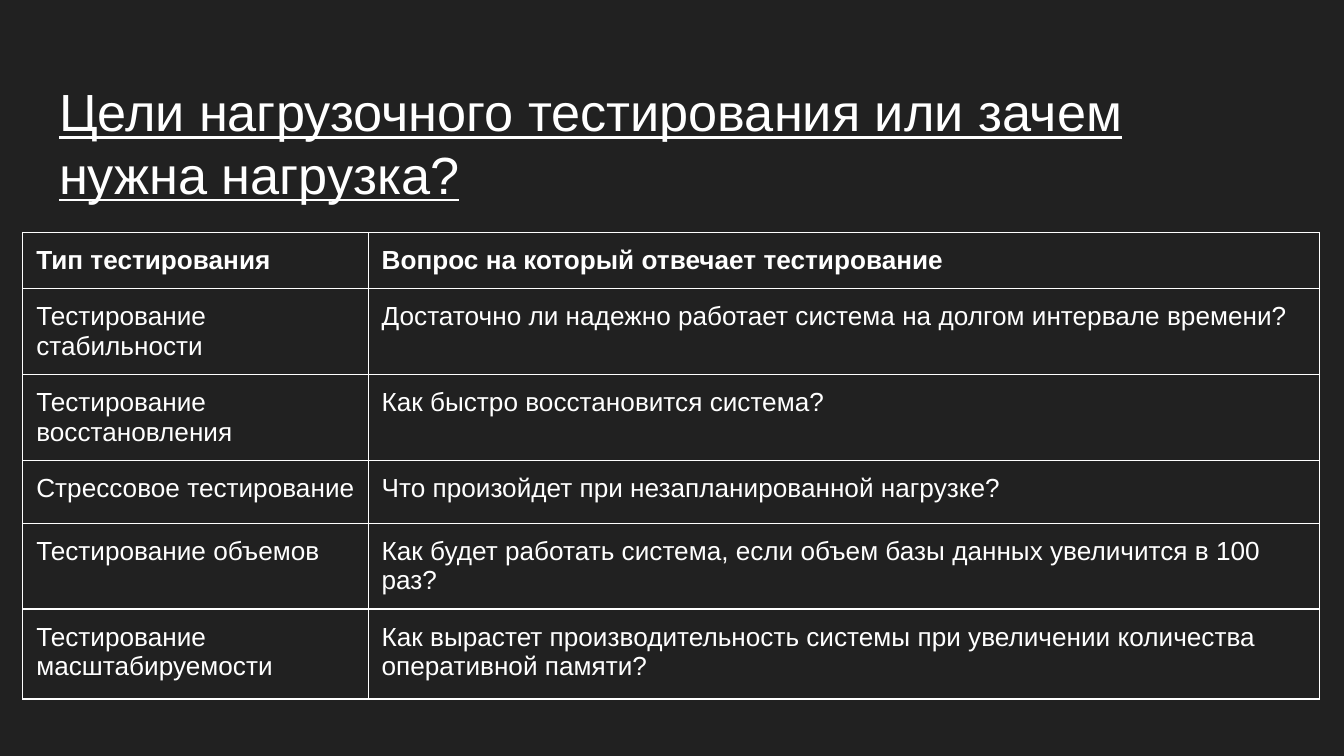
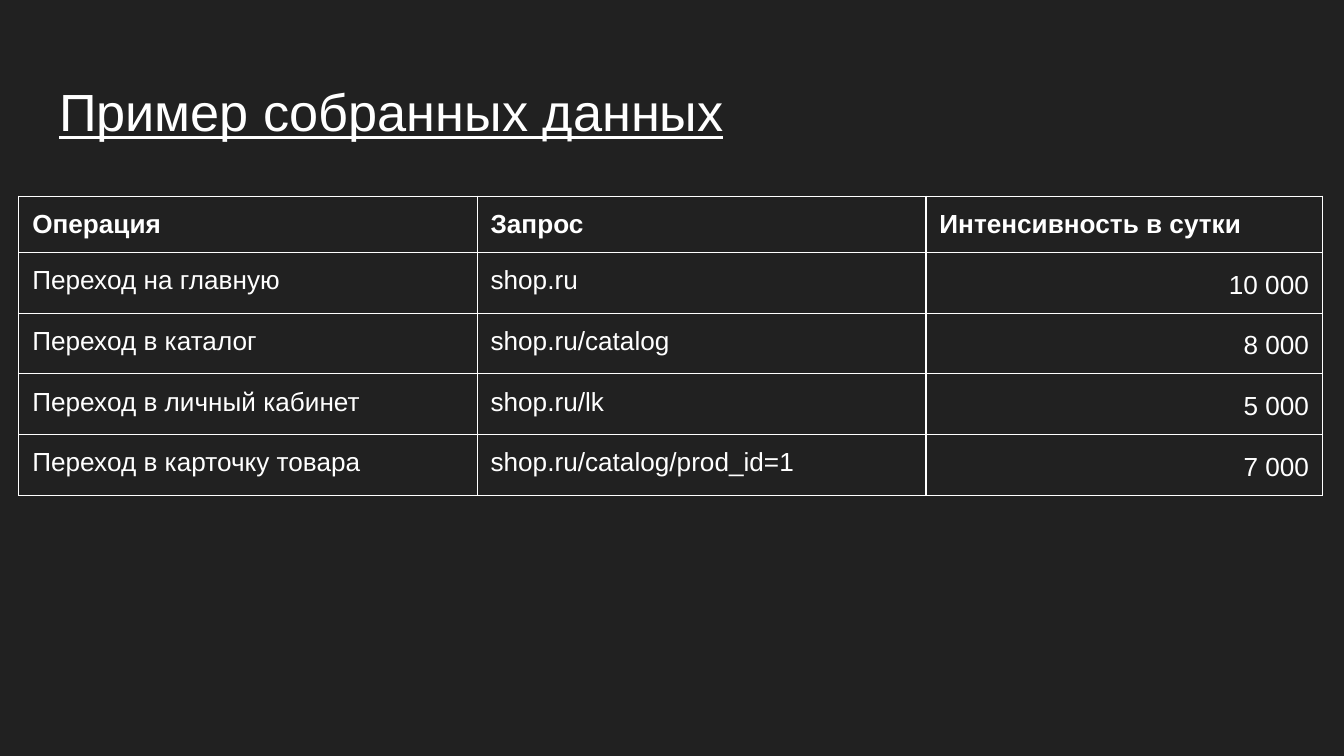
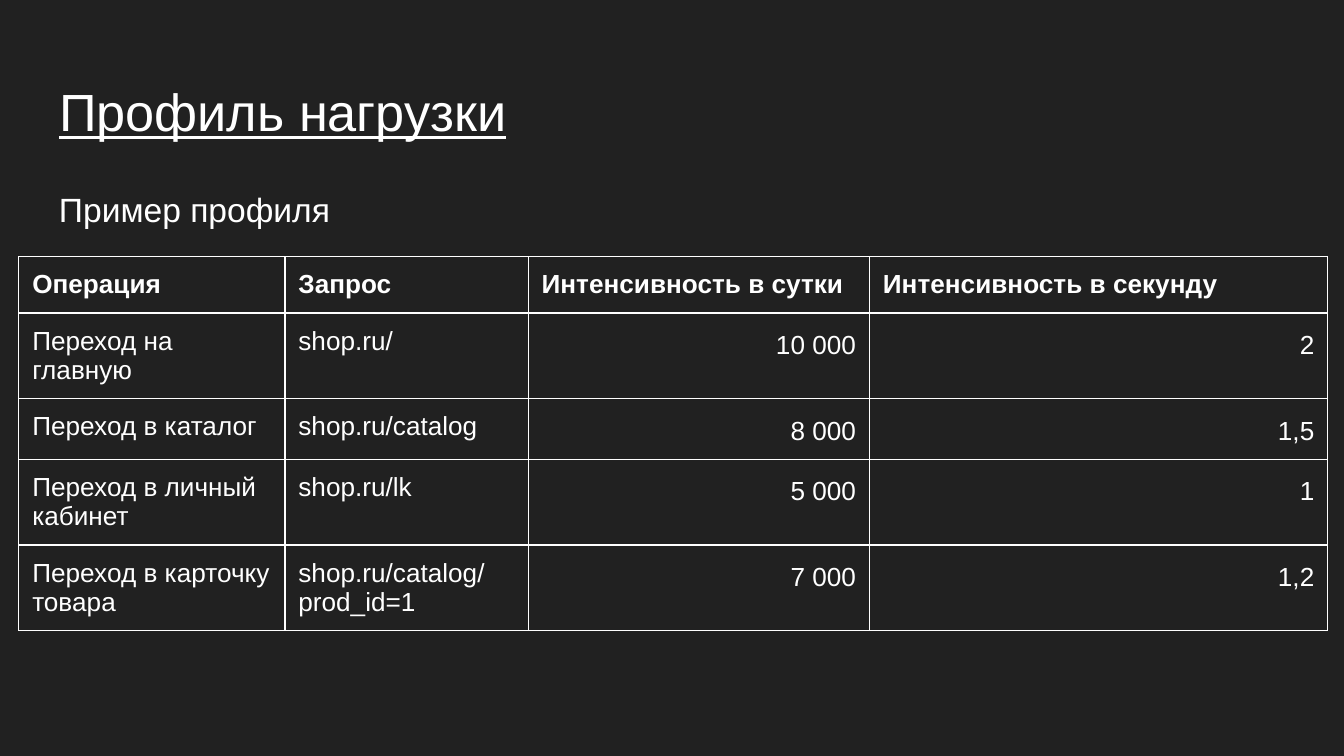
from lxml import etree
from pptx import Presentation
from pptx.dml.color import RGBColor
from pptx.enum.text import MSO_ANCHOR, MSO_AUTO_SIZE, PP_ALIGN
from pptx.oxml.ns import qn
from pptx.util import Inches, Pt

LEFT, RIGHT = PP_ALIGN.LEFT, PP_ALIGN.RIGHT
TOP = MSO_ANCHOR.TOP
NO_AUTOFIT = MSO_AUTO_SIZE.NONE
TITLE_ONLY = 5

PAGE_WIDTH = Inches(10)
PAGE_HEIGHT = PAGE_WIDTH * 9 // 16
FONT = "Arial"
DARK = "212121"
WHITE = "FFFFFF"
INSET = 0.1
BORDER_WIDTH = 0.75
LOOSE = 1.15

TITLE_BOX = (0.34, 0.49, 9.31, 0.63)
SUBTITLE_BOX = (0.34, 1.26, 9.31, 0.54)
TITLE_STYLE = {"size": Pt(28), "underline": True, "bold": False}
SUBTITLE_STYLE = {"size": Pt(18)}
HEADER_STYLE = {"size": Pt(14), "bold": True}
CELL_STYLE = {"size": Pt(14), "bold": False}
FRAME_STYLE = {"word_wrap": True, "auto_size": NO_AUTOFIT, "vertical_anchor": TOP}
MARGINS = {f"margin_{side}": Inches(INSET) for side in ("left", "right", "top", "bottom")}
TEXT_PARA = {"alignment": LEFT}
LOOSE_PARA = {"alignment": LEFT, "line_spacing": LOOSE}
NUMBER_PARA = {"alignment": RIGHT, "line_spacing": LOOSE}

GOALS = [
    ("Тип тестирования", "Вопрос на который отвечает тестирование"),
    ("Тестирование стабильности",
     "Достаточно ли надежно работает система на долгом интервале времени?"),
    ("Тестирование восстановления", "Как быстро восстановится система?"),
    ("Стрессовое тестирование", "Что произойдет при незапланированной нагрузке?"),
    ("Тестирование объемов",
     "Как будет работать система, если объем базы данных увеличится в 100 раз?"),
    ("Тестирование масштабируемости",
     "Как вырастет производительность системы при увеличении количества оперативной памяти?"),
]
COLLECTED = [
    ("Операция", "Запрос", "Интенсивность в сутки"),
    ("Переход на главную", "shop.ru", "10 000"),
    ("Переход в каталог", "shop.ru/catalog", "8 000"),
    ("Переход в личный кабинет", "shop.ru/lk", "5 000"),
    ("Переход в карточку товара", "shop.ru/catalog/prod_id=1", "7 000"),
]
HOME_REQUEST = "shop.ru/"
PER_SECOND = ("Интенсивность в секунду", "2", "1,5", "1", "1,2")


def color(value):
    return RGBColor.from_string(value)


def set_values(target, values):
    for name, value in values.items():
        setattr(target, name, value)


def write(frame, text, style, para_style):
    para = frame.paragraphs[0]
    set_values(para, para_style)
    span = para.add_run()
    span.text = text
    set_values(span.font, {"name": FONT, **style})
    span.font.color.rgb = color(WHITE)


def fill_text_box(shape, box, text, style, para_style):
    sides = ("left", "top", "width", "height")
    set_values(shape, dict(zip(sides, map(Inches, box))))
    set_values(shape.text_frame, {**FRAME_STYLE, **MARGINS})
    write(shape.text_frame, text, style, para_style)


def add_titled_page(deck, title):
    page = deck.slides.add_slide(deck.slide_layouts[TITLE_ONLY])
    fill_text_box(page.shapes.title, TITLE_BOX, title, TITLE_STYLE, TEXT_PARA)
    return page


def add_subtitle(page, text):
    shape = page.shapes.add_textbox(*map(Inches, SUBTITLE_BOX))
    fill_text_box(shape, SUBTITLE_BOX, text, SUBTITLE_STYLE, LOOSE_PARA)


def add_borders(cell):
    properties = cell._tc.get_or_add_tcPr()
    for edge in ("a:lnL", "a:lnR", "a:lnT", "a:lnB"):
        line = etree.SubElement(properties, qn(edge), w=str(Pt(BORDER_WIDTH)))
        fill = etree.SubElement(line, qn("a:solidFill"))
        etree.SubElement(fill, qn("a:srgbClr"), val=WHITE)


def format_cell(cell, text, style, para_style):
    set_values(cell, {**MARGINS, "vertical_anchor": TOP})
    add_borders(cell)
    cell.fill.background()
    write(cell.text_frame, text, style, para_style)


def add_grid(page, corner, widths, heights, rows, first_number=None):
    size = (sum(widths), sum(heights))
    table = page.shapes.add_table(
        len(rows), len(widths), *map(Inches, corner + size)).table
    set_values(table, {"first_row": False, "horz_banding": False})
    for column, width in zip(table.columns, widths):
        column.width = Inches(width)
    for row, height in zip(table.rows, heights):
        row.height = Inches(height)
    for row_index, texts in enumerate(rows):
        is_header = row_index == 0
        for column_index, text in enumerate(texts):
            is_number = (not is_header and first_number is not None
                         and column_index >= first_number)
            format_cell(table.cell(row_index, column_index), text,
                        HEADER_STYLE if is_header else CELL_STYLE,
                        NUMBER_PARA if is_number else TEXT_PARA)


def build_goals(deck):
    page = add_titled_page(deck, "Цели нагрузочного тестирования или зачем нужна нагрузка?")
    add_grid(page, (0.17, 1.73), (2.57, 7.08),
             (0.21, 0.43, 0.46, 0.47, 0.4, 0.67), GOALS)


def build_collected_data(deck):
    page = add_titled_page(deck, "Пример собранных данных")
    add_grid(page, (0.14, 1.46), (3.41, 3.34, 2.95),
             (0.38, 0.21, 0.21, 0.38, 0.38), COLLECTED, first_number=2)


def build_load_profile(deck):
    page = add_titled_page(deck, "Профиль нагрузки")
    add_subtitle(page, "Пример профиля")
    rows = [[*row, rate] for row, rate in zip(COLLECTED, PER_SECOND)]
    rows[1][1] = HOME_REQUEST
    add_grid(page, (0.14, 1.91), (1.98, 1.81, 2.54, 3.41),
             (0.38, 0.21, 0.21, 0.21, 0.21), rows, first_number=2)


def main():
    deck = Presentation()
    set_values(deck, {"slide_width": PAGE_WIDTH, "slide_height": PAGE_HEIGHT})
    background = deck.slide_master.background.fill
    background.solid()
    background.fore_color.rgb = color(DARK)
    for build in (build_goals, build_collected_data, build_load_profile):
        build(deck)
    deck.save("out.pptx")


if __name__ == "__main__":
    main()
